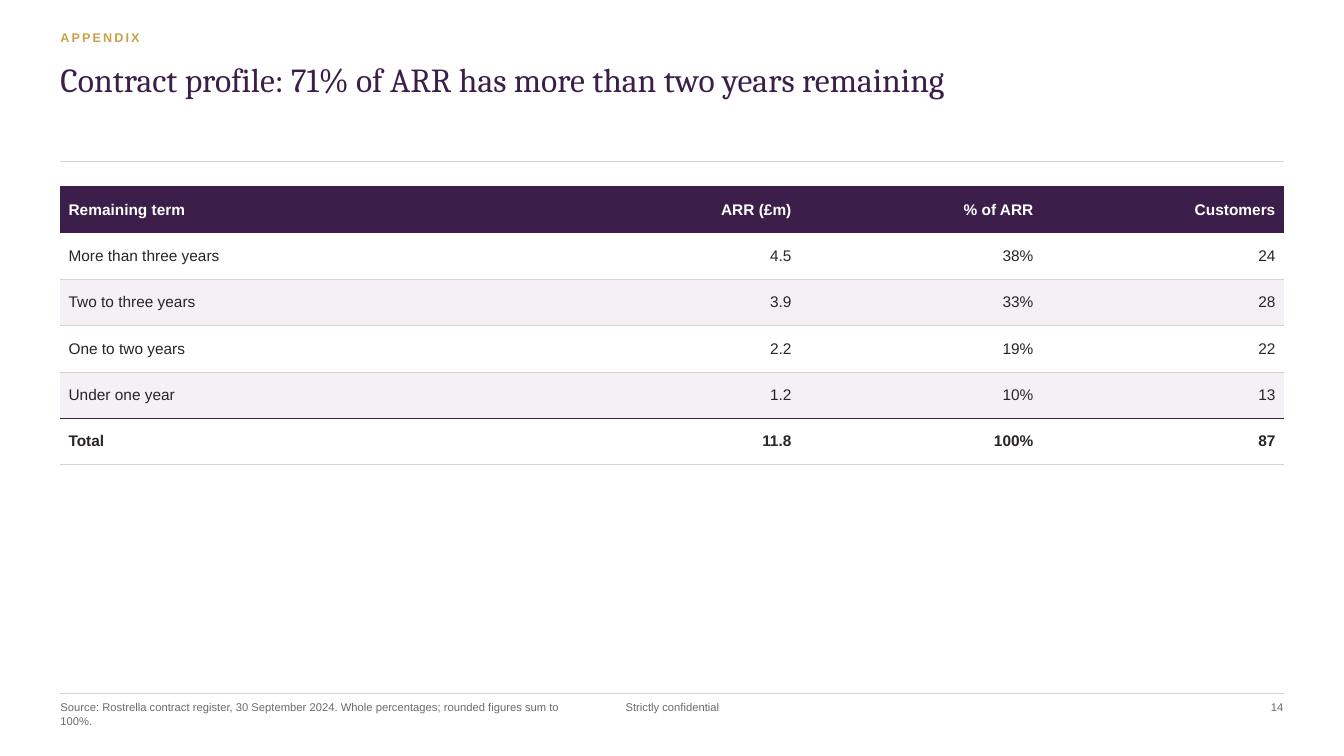
from lxml import etree
from pptx import Presentation
from pptx.dml.color import RGBColor
from pptx.enum.shapes import MSO_CONNECTOR
from pptx.enum.text import MSO_ANCHOR, MSO_AUTO_SIZE, PP_ALIGN
from pptx.oxml.ns import qn
from pptx.util import Pt

LEFT, CENTER, RIGHT = PP_ALIGN.LEFT, PP_ALIGN.CENTER, PP_ALIGN.RIGHT
TOP, MIDDLE = MSO_ANCHOR.TOP, MSO_ANCHOR.MIDDLE
STRAIGHT, NO_AUTOFIT = MSO_CONNECTOR.STRAIGHT, MSO_AUTO_SIZE.NONE
PX = 9144  # EMU per px, 100 px to the inch
MARGIN, CONTENT_WIDTH = 60, 1213
COLORS = {
    "plum": "3B1F4A", "gold": "C8A24A", "rule": "D8D2CA", "muted": "6E6A66",
    "ink": "2A2328", "band": "F4F0F6", "white": "FFFFFF",
}
NO_TABLE_STYLE = "{2D5ABB26-0587-4C30-8999-92F81FD0307C}"


def write(frame, text, size=8, color="muted", font="Arial", bold=False,
          align=LEFT, line_spacing=None, tracking=None):
    paragraph = frame.paragraphs[0]
    properties = paragraph._p.get_or_add_pPr()
    properties.set("marL", "0")
    properties.set("indent", "0")
    etree.SubElement(properties, qn("a:buNone"))
    paragraph.alignment = align
    paragraph.space_before = Pt(0)
    if line_spacing:
        paragraph.line_spacing = line_spacing
    run = paragraph.add_run()
    run.text = text
    run.font.name, run.font.size, run.font.bold = font, Pt(size), bold
    run.font.color.rgb = RGBColor.from_string(COLORS[color])
    if tracking:
        run.font._element.set("spc", str(int(tracking * 100)))


def add_border(cell, side, color, width):
    border = etree.Element(qn(f"a:{side}"), w=str(Pt(width)))
    fill = etree.SubElement(border, qn("a:solidFill"))
    etree.SubElement(fill, qn("a:srgbClr"), val=COLORS[color])
    cell._tc.get_or_add_tcPr().insert(0, border)


presentation = Presentation()
presentation.slide_width, presentation.slide_height = 1333 * PX, 750 * PX
slide = presentation.slides.add_slide(presentation.slide_layouts[1])
shapes = slide.shapes

# Rules under the heading and above the footer
for y, width in ((688, 0.5), (160, 0.75)):
    rule = shapes.add_connector(STRAIGHT, MARGIN * PX, y * PX,
                                (MARGIN + CONTENT_WIDTH) * PX, y * PX)
    rule.line.color.rgb = RGBColor.from_string(COLORS["rule"])
    rule.line.width = Pt(width)
    etree.SubElement(rule._element.spPr, qn("a:effectLst"))

# Heading and footer texts
title, source = shapes.title, slide.placeholders[1]
section, confidentiality, page_number = (
    shapes.add_textbox(0, 0, PX, PX) for _ in range(3))
texts = [
    (section, (MARGIN, 30, 700, 25), "APPENDIX",
     dict(size=9, color="gold", bold=True, tracking=1.5)),
    (title, (MARGIN, 62, CONTENT_WIDTH, 90),
     "Contract profile: 71% of ARR has more than two years remaining",
     dict(size=24, color="plum", font="Cambria", line_spacing=0.92)),
    (source, (MARGIN, 695, 500, 40),
     "Source: Rostrella contract register, 30 September 2024. "
     "Whole percentages; rounded figures sum to 100%.", {}),
    (confidentiality, (567, 695, 200, 25), "Strictly confidential",
     dict(align=CENTER)),
    (page_number, (1173, 695, 100, 25), "14", dict(align=RIGHT)),
]
for holder, box, text, text_format in texts:
    holder.left, holder.top, holder.width, holder.height = (v * PX for v in box)
    frame = holder.text_frame
    frame.word_wrap, frame.auto_size = True, NO_AUTOFIT
    frame.vertical_anchor = TOP
    frame.margin_left = frame.margin_right = 0
    frame.margin_top = frame.margin_bottom = 0
    write(frame, text, **text_format)

# Contract table
contract_rows = [
    ("Remaining term", "ARR (£m)", "% of ARR", "Customers"),
    ("More than three years", "4.5", "38%", "24"),
    ("Two to three years", "3.9", "33%", "28"),
    ("One to two years", "2.2", "19%", "22"),
    ("Under one year", "1.2", "10%", "13"),
    ("Total", "11.8", "100%", "87"),
]
column_widths = (493, 240, 240, 240)
row_height = 46
total_row = len(contract_rows) - 1
contracts = shapes.add_table(
    len(contract_rows), len(column_widths), MARGIN * PX, 185 * PX,
    CONTENT_WIDTH * PX, row_height * len(contract_rows) * PX).table
contracts.horz_banding = False
contracts._tbl.tblPr.find(qn("a:tableStyleId")).text = NO_TABLE_STYLE
for column, width in zip(contracts.columns, column_widths):
    column.width = width * PX

for r, values in enumerate(contract_rows):
    contracts.rows[r].height = row_height * PX
    is_header, is_total = r == 0, r == total_row
    fill = "plum" if is_header else "band" if r in (2, 4) else None
    for c, value in enumerate(values):
        cell = contracts.cell(r, c)
        cell.vertical_anchor = MIDDLE
        cell.margin_left = cell.margin_right = 8 * PX
        cell.margin_top = cell.margin_bottom = 4 * PX
        write(cell.text_frame, value, size=11,
              color="white" if is_header else "ink",
              bold=is_header or is_total, align=RIGHT if c else LEFT)
        if fill:
            cell.fill.solid()
            cell.fill.fore_color.rgb = RGBColor.from_string(COLORS[fill])
        else:
            cell.fill.background()
        if not is_header:
            add_border(cell, "lnB", "rule", 0.5)
        if is_total:
            add_border(cell, "lnT", "plum", 1)

presentation.save("out.pptx")
